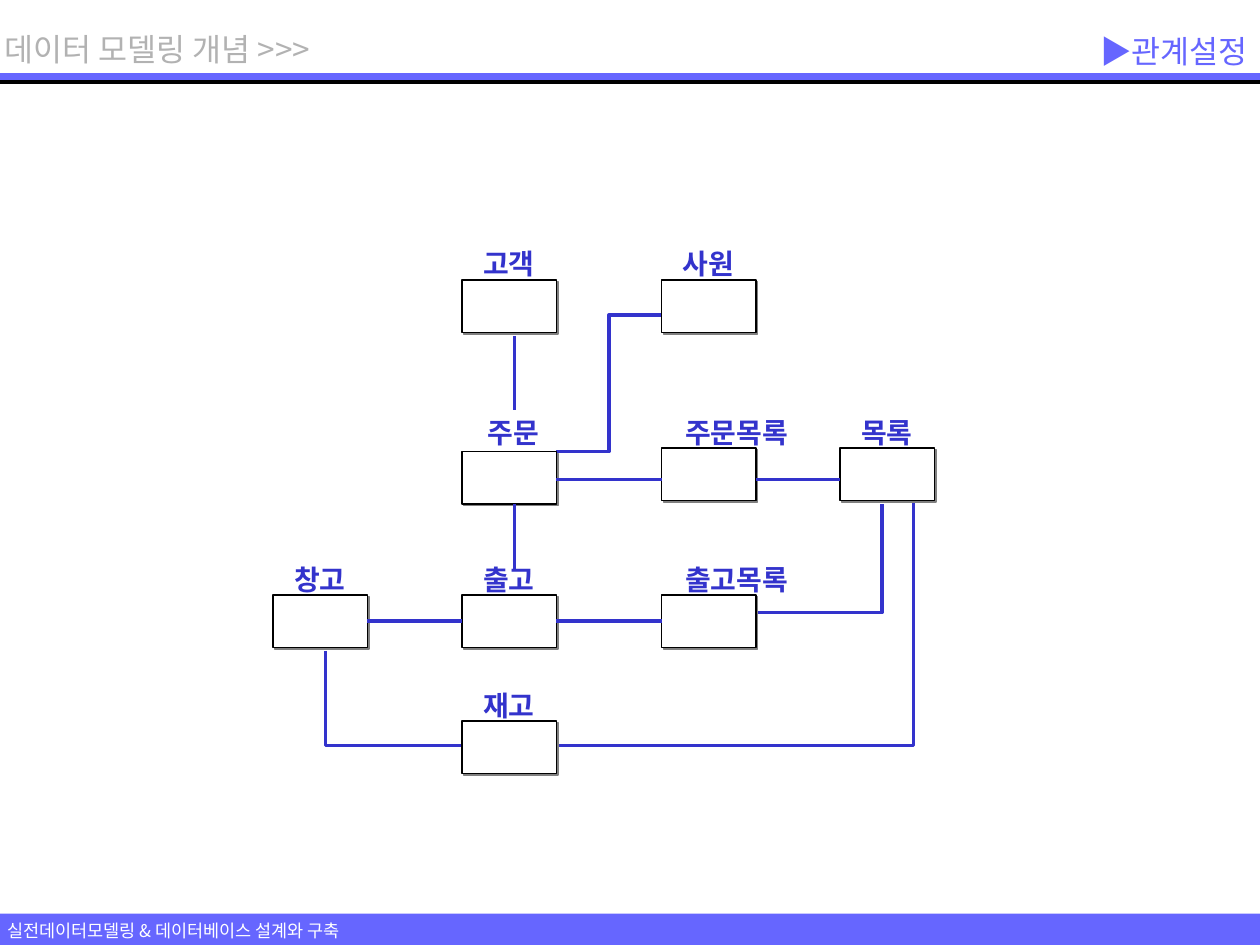
from lxml.etree import SubElement
from pptx import Presentation
from pptx.dml.color import RGBColor
from pptx.enum.shapes import MSO_CONNECTOR, MSO_SHAPE
from pptx.enum.text import MSO_ANCHOR, MSO_AUTO_SIZE, PP_ALIGN
from pptx.oxml.ns import qn
from pptx.util import Pt

FONT = "Noto Sans CJK KR"
VIOLET, BLUE, GREY, BLACK, WHITE = "6666FF", "3333CC", "B2B2B2", "000000", "FFFFFF"
SLIDE_W, SLIDE_H = 720, 540
BOX_W, BOX_H = 54, 30
LABEL_H = 26.5

BARS = [(522, 18), (41.8, 4.4)]
RULES = [46.1, 46.8, 47.5]
TITLES = [
    ("실전데이터모델링 & 데이터베이스 설계와 구축", (-2.9, 522, 226, 19.4), 10, WHITE),
    ("데이터 모델링 개념 >>>", (-4.3, 13.7, 204.5, 28.8), 18, GREY),
]
TOPIC = ("▶관계설정", (360, 13.7, 360, 31), 18, VIOLET)

# name: box left, box top, label left, label top
ENTITIES = {
    "고객": (264, 160, 269, 137.6),
    "사원": (378, 160, 383, 137.6),
    "주문": (264, 258, 271.5, 234),
    "주문목록": (378, 256, 384.5, 234),
    "목록": (480, 256, 485, 234),
    "창고": (156, 340, 161, 318),
    "출고": (264, 340, 269, 318),
    "출고목록": (378, 340, 384.5, 318),
    "재고": (264, 412, 269, 390),
}
JOINED = [("창고", "출고"), ("출고", "출고목록")]
STRAIGHT = [
    (294, 192, 294, 234),
    (294, 288, 294, 326),
    (318, 274, 378, 274),
    (432, 274, 480, 274),
]
BENT = [
    [(186, 372), (186, 426), (264, 426)],
    [(378, 180), (348, 180), (348, 258), (318, 258)],
    [(504, 288), (504, 350), (432, 350)],
    [(522, 276), (522, 426), (318, 426)],
]


def rgb(value):
    """Turn a hex string into a colour."""
    return RGBColor.from_string(value)


def add_rect(shapes, x, y, w, h, fill):
    """Add a filled rectangle without an outline."""
    sp = shapes.add_shape(MSO_SHAPE.RECTANGLE, Pt(x), Pt(y), Pt(w), Pt(h))
    sp.shadow.inherit = False
    sp.fill.solid()
    sp.fill.fore_color.rgb = rgb(fill)
    sp.line.fill.background()
    return sp


def add_entity_box(shapes, x, y):
    """Add an outlined entity box with a hard grey shadow."""
    sp = add_rect(shapes, x, y, BOX_W, BOX_H, WHITE)
    style_line(sp, BLACK, 0.75)
    effects = sp._element.spPr.find(qn("a:effectLst"))
    shadow = SubElement(effects, qn("a:outerShdw"), dist=str(Pt(1.4)), dir="2700000",
                        algn="ctr", rotWithShape="0")
    SubElement(shadow, qn("a:srgbClr"), val="808080")
    return sp


def style_line(sp, color, width):
    """Set the colour and width of an outline."""
    sp.line.color.rgb = rgb(color)
    sp.line.width = Pt(width)


def add_line(shapes, x1, y1, x2, y2, color=BLUE, width=2.25):
    """Add a straight connector without a shadow."""
    line = shapes.add_connector(MSO_CONNECTOR.STRAIGHT, Pt(x1), Pt(y1), Pt(x2), Pt(y2))
    style_line(line, color, width)
    SubElement(line._element.spPr, qn("a:effectLst"))
    return line


def add_bent_line(shapes, points):
    """Add an open line through the given points."""
    (x, y), *rest = [(Pt(px), Pt(py)) for px, py in points]
    builder = shapes.build_freeform(x, y, scale=1.0)
    builder.add_line_segments(rest, close=False)
    sp = builder.convert_to_shape()
    sp.shadow.inherit = False
    sp.fill.background()
    style_line(sp, BLUE, 2.25)


def add_text(shapes, text, place, size, color, bold=False):
    """Add a one-line text box and return its text frame."""
    tf = shapes.add_textbox(*[Pt(v) for v in place]).text_frame
    tf.word_wrap = False
    tf.auto_size = MSO_AUTO_SIZE.SHAPE_TO_FIT_TEXT
    tf.text = text
    r = tf.paragraphs[0].runs[0]
    r.font.name, r.font.size, r.font.bold = FONT, Pt(size), bold
    r.font.color.rgb = rgb(color)
    SubElement(r.font._element, qn("a:ea"), typeface=FONT)
    return tf


def main():
    """Build the relationship diagram slide."""
    prs = Presentation()
    prs.slide_width, prs.slide_height = Pt(SLIDE_W), Pt(SLIDE_H)
    shapes = prs.slides.add_slide(prs.slide_layouts[6]).shapes

    for y, h in BARS:
        add_rect(shapes, 0, y, SLIDE_W, h, VIOLET)
    for y in RULES:
        add_line(shapes, 0, y, SLIDE_W, y, BLACK, 0.75)
    for title in TITLES:
        add_text(shapes, *title)

    for points in BENT:
        add_bent_line(shapes, points)

    boxes = {}
    for name, (x, y, label_x, label_y) in ENTITIES.items():
        label_w = 14.8 * len(name) + 14.4
        add_text(shapes, name, (label_x, label_y, label_w, LABEL_H), 16, BLUE, bold=True)
        boxes[name] = add_entity_box(shapes, x, y)

    for ends in STRAIGHT:
        add_line(shapes, *ends)
    for left, right in JOINED:
        line = add_line(shapes, 0, 0, 0, 0)
        line.begin_connect(boxes[left], 3)
        line.end_connect(boxes[right], 1)

    tf = add_text(shapes, *TOPIC)
    tf.auto_size = MSO_AUTO_SIZE.NONE
    tf.vertical_anchor = MSO_ANCHOR.MIDDLE
    tf.paragraphs[0].alignment = PP_ALIGN.RIGHT

    prs.save("out.pptx")


if __name__ == "__main__":
    main()
